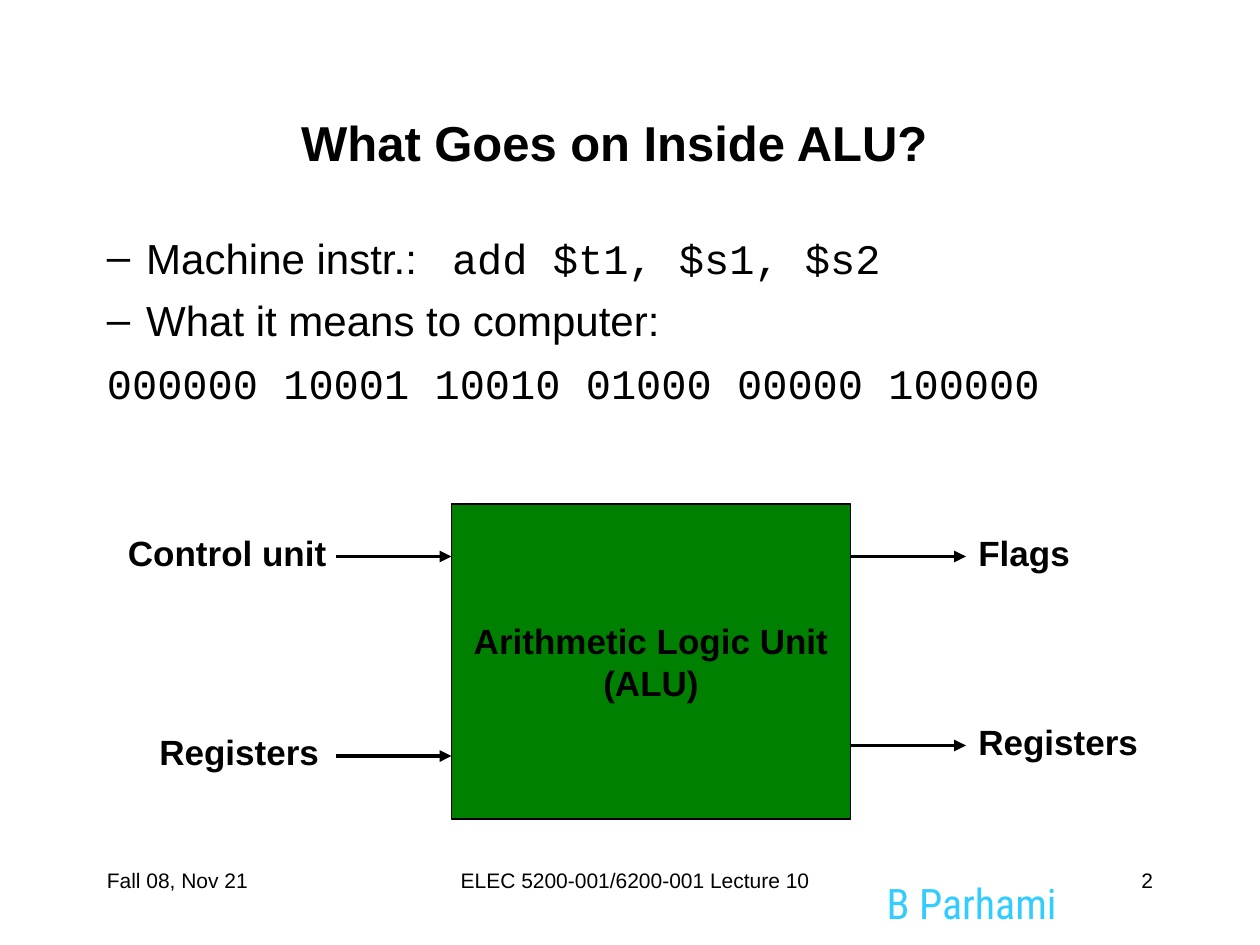
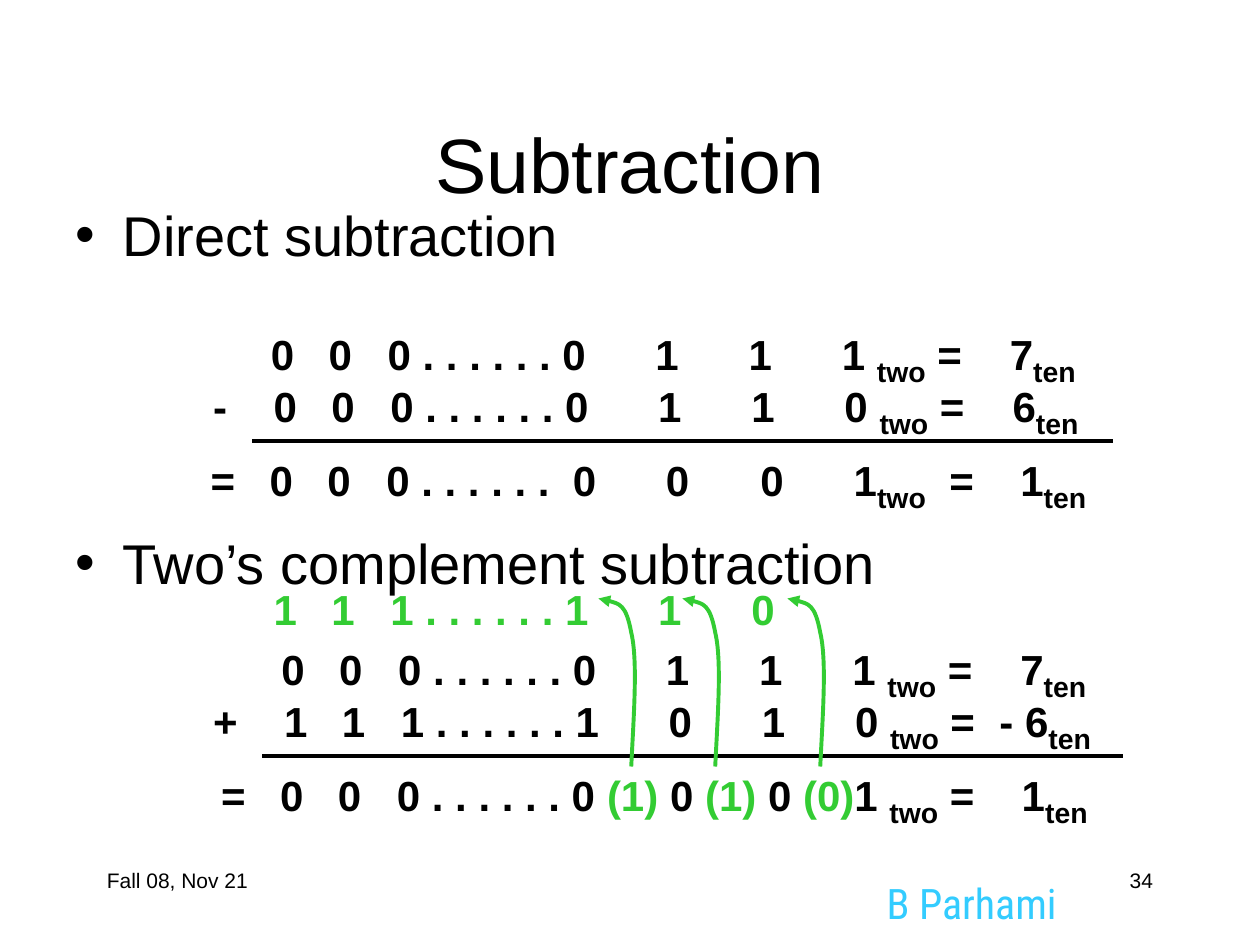
from typing import NamedTuple, Optional, Sequence

from pptx import Presentation
from pptx import util as u
from pptx.dml.color import RGBColor
from pptx.enum import shapes, text
from pptx.oxml.ns import qn
from pptx.oxml.xmlchemy import OxmlElement

PX = 9525  # EMU in one px, 96 px to the inch
COLORS = {"ink": "000000", "alu": "008000", "carry": "33CC33", "author": "33CCFF"}
SANS, MONO, NARROW = "Arial", "Courier New", "Roboto Condensed"
LEFT, CENTER, RIGHT = text.PP_ALIGN.LEFT, text.PP_ALIGN.CENTER, text.PP_ALIGN.RIGHT
TITLE_ONLY = 5


class Box(NamedTuple):
    left: int
    top: int
    width: int
    height: int


class Run(NamedTuple):
    text: str
    size: int = 24
    color: str = "ink"
    font: str = SANS
    bold: bool = False
    baseline: int = 0
    spacing: int = 0  # hundredths of a point


class Para(NamedTuple):
    runs: Sequence[Run]
    before: int = 0
    bullet: str = ""
    indent: int = 0
    hanging: int = 0


class Row(NamedTuple):
    """A line of digits; stops are counted from its first digit, which is lead px in."""
    box: Box
    lead: int
    stops: Sequence[int]
    runs: Sequence[Run]


class Label(NamedTuple):
    words: str
    box: Box


class Arrow(NamedTuple):
    start: int
    end: int
    y: int


def px(length: float) -> int:
    return u.Emu(round(length * PX))


def rgb(name: str) -> RGBColor:
    return RGBColor.from_string(COLORS[name])


def emu(box: Box) -> list:
    return [px(length) for length in box]


def add_runs(paragraph, runs: Sequence[Run]) -> None:
    for wanted in runs:
        run = paragraph.add_run()
        run.text = wanted.text
        run.font.size = u.Pt(wanted.size)
        run.font.name = wanted.font
        run.font.bold = wanted.bold
        run.font.color.rgb = rgb(wanted.color)
        properties = run.font._element
        if wanted.baseline:
            properties.set("baseline", str(wanted.baseline))
        if wanted.spacing:
            properties.set("spc", str(wanted.spacing))


def add_text(slide, box: Box, runs: Sequence[Run], align=LEFT):
    frame = slide.shapes.add_textbox(*emu(box)).text_frame
    frame.word_wrap = True
    if align == LEFT:
        frame.margin_right = 0
    frame.paragraphs[0].alignment = align
    add_runs(frame.paragraphs[0], runs)
    return frame


def set_title(slide, box: Box, run: Run) -> None:
    title = slide.shapes.title
    title.left, title.top, title.width, title.height = emu(box)
    title.text_frame.vertical_anchor = text.MSO_ANCHOR.MIDDLE
    title.text_frame.paragraphs[0].alignment = CENTER
    add_runs(title.text_frame.paragraphs[0], [run])


def add_body(slide, box: Box, paras: Sequence[Para]) -> None:
    frame = slide.shapes.add_textbox(*emu(box)).text_frame
    frame.word_wrap = True
    frame.margin_top = px(9)
    for index, para in enumerate(paras):
        paragraph = frame.add_paragraph() if index else frame.paragraphs[0]
        properties = paragraph._p.get_or_add_pPr()
        properties.set("marL", str(px(para.indent)))
        properties.set("indent", str(px(-para.hanging)))
        if para.before:
            paragraph.space_before = u.Pt(para.before)
        if para.bullet:
            for tag, key, value in (("a:buFont", "typeface", SANS),
                                    ("a:buChar", "char", para.bullet)):
                bullet = OxmlElement(tag)
                bullet.set(key, value)
                properties.append(bullet)
        add_runs(paragraph, para.runs)


def add_row(slide, row: Row) -> None:
    frame = add_text(slide, row.box, row.runs)
    tabs = OxmlElement("a:tabLst")
    for stop in (0, *row.stops):
        if row.lead + stop:
            tab = OxmlElement("a:tab")
            tab.set("pos", str(px(row.lead + stop)))
            tab.set("algn", "l")
            tabs.append(tab)
    frame.paragraphs[0]._p.get_or_add_pPr().append(tabs)


def style_line(line, color: str, arrow: bool) -> None:
    line.color.rgb = rgb(color)
    line.width = u.Pt(2.25)
    if arrow:
        tail = OxmlElement("a:tailEnd")
        tail.set("type", "triangle")
        line._get_or_add_ln().append(tail)


def add_rule(slide, start: int, end: int, y: int, arrow: bool = False) -> None:
    rule = slide.shapes.add_connector(
        shapes.MSO_CONNECTOR.STRAIGHT, px(start), px(y), px(end), px(y))
    style_line(rule.line, "ink", arrow)
    rule._element.spPr.append(OxmlElement("a:effectLst"))


def add_carry_arrow(slide, left: int, top: int) -> None:
    """Draw two joined Bézier curves that bend up and left to a carry digit."""
    start, *points = [(left + x, top + y) for x, y in CARRY_CURVE]
    builder = slide.shapes.build_freeform(*start, scale=PX)
    builder.add_line_segments(points, close=False)
    curve = builder.convert_to_shape()
    segments = list(curve._element.iter(qn("a:lnTo")))
    for first in range(0, len(segments), 3):
        bezier = OxmlElement("a:cubicBezTo")
        segments[first].addprevious(bezier)
        for segment in segments[first:first + 3]:
            bezier.append(segment[0])
            segment.getparent().remove(segment)
    curve.shadow.inherit = False
    curve.fill.background()
    style_line(curve.line, "carry", arrow=True)


def start_slide(deck, number: int, course: Optional[str] = None):
    """Add a slide with its author mark and footers."""
    slide = deck.slides.add_slide(deck.slide_layouts[TITLE_ONLY])
    add_text(slide, Box(666, 664, 180, 40), [Run("B Parhami", 24, "author", NARROW)])
    footers = [("Fall 08, Nov 21", Box(72, 656, 200, 48), LEFT),
               (course, Box(232, 656, 504, 48), CENTER),
               (str(number), Box(688, 656, 200, 48), RIGHT)]
    for words, box, align in footers:
        if words:
            add_text(slide, box, [Run(words, 12)], align)
    return slide


def bold(words: str, color: str = "ink", size: int = 24) -> Run:
    return Run(words, size, color, bold=True)


def sub(words: str) -> Run:
    return Run(words, 28, bold=True, baseline=-25000)


def equation(binary: str, equals: str, decimal: str) -> list:
    return [bold(binary), sub("two"), bold(f"{equals}\t{decimal}"), sub("ten")]


INPUTS_OUTPUTS = [
    Label("Control unit", Box(88, 400, 176, 42)),
    Label("Flags", Box(736, 400, 96, 42)),
    Label("Registers", Box(112, 552, 144, 42)),
    Label("Registers", Box(736, 544, 144, 42)),
]
ALU_ARROWS = [Arrow(648, 736, 568), Arrow(256, 344, 576),
              Arrow(256, 344, 424), Arrow(648, 736, 424)]

DIGITS = (44, 89, 293, 364, 435, 563)
SPACED_DIGITS = (44, 89, 231, 302, 374, 445, 518, 572)
RESULT_DIGITS = (44, 89, 565)
SEVEN = equation("0\t0\t0 . . . . . . 0\t1\t1\t1 ", " =", "7")
CARRIED_RESULT = [
    bold("=\t0\t0\t0 . . . . . . 0 "), bold("(1)", "carry"), bold(" 0 "),
    bold("(1)", "carry"), bold(" 0 "), bold("(0)", "carry"), bold("1 "),
    sub("two"), bold(" =\t1"), sub("ten"),
]
ROWS = [
    Row(Box(197, 240, 632, 60), 0, DIGITS, SEVEN),
    Row(Box(153, 280, 678, 60), 46, DIGITS,
        equation("-\t0\t0\t0 . . . . . . 0\t1\t1\t0 ", " =", "6")),
    Row(Box(151, 336, 686, 60), 45, SPACED_DIGITS,
        equation("=\t0\t0\t0 . . . . . .\t0\t0\t0\t1", "\t=", "1")),
    Row(Box(205, 480, 632, 60), 0, DIGITS, SEVEN),
    Row(Box(153, 520, 688, 60), 54, (*DIGITS[:-1], 545),
        equation("+\t1\t1\t1 . . . . . . 1\t0\t1\t0 ", " =", "- 6")),
    Row(Box(159, 576, 679, 60), 45, RESULT_DIGITS, CARRIED_RESULT),
    Row(Box(199, 440, 402, 48), 0, DIGITS,
        [bold("1\t1\t1 . . . . . . 1\t1\t0", "carry")]),
]
CARRY_CURVE = [(25, 128), (27, 87), (30, 47), (25, 26), (21, 4), (11, 2), (0, 0)]


def build_alu_slide(deck) -> None:
    slide = start_slide(deck, 2, "ELEC 5200-001/6200-001 Lecture 10")
    set_title(slide, Box(60, 48, 816, 120), bold("What Goes on Inside ALU?", size=28))
    add_body(slide, Box(24, 168, 920, 176), [
        Para([Run("Machine instr.:"), Run(" ", spacing=1333),
              Run("add $t1, $s1, $s2", font=MONO)], 0, "–", 78, 30),
        Para([Run("What it means to computer:")], 7, "–", 78, 30),
        Para([Run("000000 10001 10010 01000 00000 100000", font=MONO)], 7, "", 78, 30),
    ])
    alu = slide.shapes.add_shape(shapes.MSO_SHAPE.RECTANGLE, *emu(Box(344, 384, 304, 240)))
    alu.shadow.inherit = False
    alu.fill.solid()
    alu.fill.fore_color.rgb = rgb("alu")
    alu.line.color.rgb = rgb("ink")
    alu.line.width = u.Pt(0.75)
    frame = alu.text_frame
    frame.word_wrap = True
    frame.vertical_anchor = text.MSO_ANCHOR.MIDDLE
    for paragraph, words in ((frame.paragraphs[0], "Arithmetic Logic Unit"),
                             (frame.add_paragraph(), "(ALU)")):
        paragraph.alignment = CENTER
        add_runs(paragraph, [bold(words, size=20)])
    for arrow in ALU_ARROWS:
        add_rule(slide, *arrow, arrow=True)
    for label in INPUTS_OUTPUTS:
        add_text(slide, label.box, [bold(label.words, size=20)])


def build_subtraction_slide(deck) -> None:
    slide = start_slide(deck, 34)
    set_title(slide, Box(72, 64, 816, 120), Run("Subtraction", 44))
    add_body(slide, Box(48, 144, 864, 475), [
        Para([Run("Direct subtraction", 32)], 0, "•", 36, 36),
        Para([Run("Two’s complement subtraction", 32)], 149, "•", 36, 36),
    ])
    for row in ROWS:
        add_row(slide, row)
    add_rule(slide, 192, 848, 336)
    add_rule(slide, 200, 856, 576)
    for left in (456, 520, 600):
        add_carry_arrow(slide, left, 456)


def main() -> None:
    deck = Presentation()
    deck.slide_width, deck.slide_height = px(960), px(720)
    build_alu_slide(deck)
    build_subtraction_slide(deck)
    deck.save("out.pptx")


if __name__ == "__main__":
    main()
